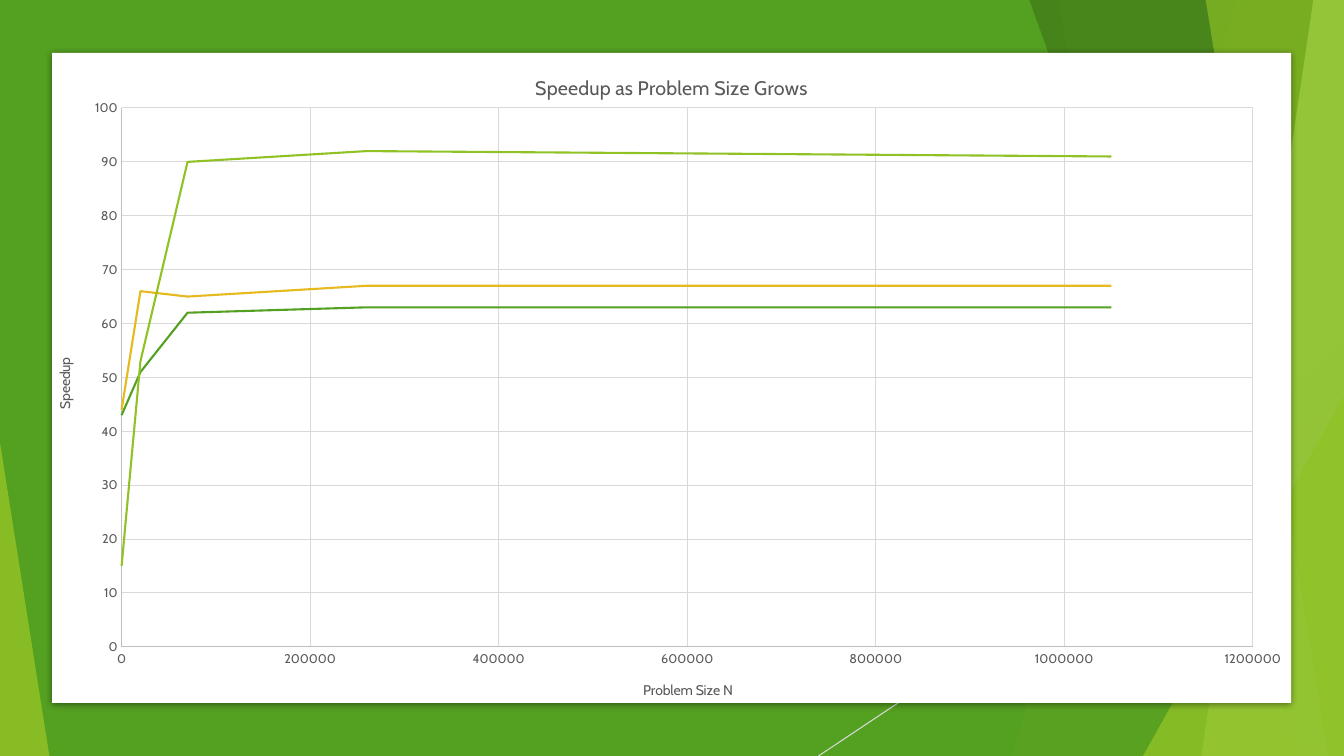
from lxml import etree
from pptx import Presentation
from pptx.chart.data import XyChartData
from pptx.dml.color import RGBColor
from pptx.enum.chart import XL_CHART_TYPE, XL_MARKER_STYLE, XL_TICK_MARK
from pptx.enum.shapes import MSO_CONNECTOR, MSO_SHAPE
from pptx.oxml import parse_xml
from pptx.oxml.ns import qn
from pptx.util import Pt

SCATTER_LINES = XL_CHART_TYPE.XY_SCATTER_LINES_NO_MARKERS
NO_MARKER = XL_MARKER_STYLE.NONE
NO_TICK = XL_TICK_MARK.NONE
RECTANGLE, TRIANGLE = MSO_SHAPE.RECTANGLE, MSO_SHAPE.ISOSCELES_TRIANGLE
STRAIGHT = MSO_CONNECTOR.STRAIGHT

# Content
FONT = "Cabin"
GREEN, LIME, DARK_GREEN, PALE_LIME, GOLD = "54A021", "90C226", "3F7819", "C0E474", "E6B91E"
TEXT_GREY, AXIS_GREY, GRID_GREY = "595959", "BFBFBF", "D9D9D9"

CHART_TITLE = "Speedup as Problem Size Grows"
PROBLEM_SIZES = [0, 20000, 70000, 260000, 1050000]
SPEEDUPS = [
    ("Series 1", LIME, [15, 53, 90, 92, 91]),
    ("Series 2", GREEN, [43, 51, 62, 63, 63]),
    ("Series 3", GOLD, [44, 66, 65, 67, 67]),
]
PLOT_AREA = {"x": 0.056, "y": 0.085, "w": 0.913, "h": 0.829}

# Decoration, back to front: bands are (top x, bottom x, colour, opacity) and
# reach the right edge; wedges are (left, top, width, peak, colour, opacity)
# and stand on the bottom edge
SLIDE_W, SLIDE_H = 960, 540
BAND_TOP = -0.6
FACETS = [
    ("band", 884.2, 722.9, LIME, 30),
    ("band", 756, 851.8, LIME, 20),
    ("wedge", 703.4, 239.8, 256.6, 1, GREEN, 72),
    ("band", 735.1, 929.5, DARK_GREEN, 70),
    ("band", 938.2, 858.2, PALE_LIME, 70),
    ("band", 861.1, 949, LIME, 65),
    ("wedge", 816.5, 283, 143.5, 1, LIME, 80),
    ("wedge", 0, 316.1, 35.3, 0, LIME, 85),
]
RAY = (960, 290.2, 584.6, 540)
CARD = (37.3, 37.7, 885, 464.4)


def rgb(value):
    return RGBColor.from_string(value)


def paint(shape, color, opacity=100):
    shape.shadow.inherit = False
    shape.line.fill.background()
    shape.fill.solid()
    shape.fill.fore_color.rgb = rgb(color)
    if opacity < 100:
        swatch = shape.fill._xPr.find(qn("a:solidFill"))[0]
        etree.SubElement(swatch, qn("a:alpha")).set("val", str(opacity * 1000))


def stroke(line, color, width):
    line.color.rgb = rgb(color)
    line.width = Pt(width)


def style_font(font, size):
    font.name, font.size, font.bold = FONT, Pt(size), False
    font.color.rgb = rgb(TEXT_GREY)


def add_title(owner, text, size):
    run = owner.text_frame.paragraphs[0].add_run()
    run.text = text
    style_font(run.font, size)


prs = Presentation()
prs.slide_width, prs.slide_height = Pt(SLIDE_W), Pt(SLIDE_H)
slide = prs.slides.add_slide(prs.slide_layouts[6])
shapes = slide.shapes

# Green backdrop and thin ray
backdrop = shapes.add_shape(RECTANGLE, 0, 0, Pt(SLIDE_W), Pt(SLIDE_H))
paint(backdrop, GREEN)
ray = shapes.add_connector(STRAIGHT, *map(Pt, RAY))
stroke(ray.line, GRID_GREY, 0.75)
etree.SubElement(ray._element.spPr, qn("a:effectLst"))

# Translucent facets
for kind, *place, color, opacity in FACETS:
    if kind == "band":
        top_x, bottom_x = place
        outline = shapes.build_freeform(Pt(top_x), Pt(BAND_TOP))
        corners = [(SLIDE_W, BAND_TOP), (SLIDE_W, SLIDE_H), (bottom_x, SLIDE_H)]
        outline.add_line_segments([(Pt(x), Pt(y)) for x, y in corners], close=True)
        facet = outline.convert_to_shape()
    else:
        left, top, width, peak = place
        facet = shapes.add_shape(TRIANGLE, Pt(left), Pt(top), Pt(width), Pt(SLIDE_H - top))
        facet.adjustments[0] = peak
    paint(facet, color, opacity)

# White card with a soft shadow
card = shapes.add_shape(RECTANGLE, *map(Pt, CARD))
paint(card, "FFFFFF")
effects = card._element.spPr.find(qn("a:effectLst"))
effects.append(parse_xml(
    '<a:outerShdw xmlns:a="http://schemas.openxmlformats.org/drawingml/2006/main"'
    f' blurRad="{Pt(5)}" dist="{Pt(1.4)}" dir="5400000" rotWithShape="0">'
    '<a:srgbClr val="000000"><a:alpha val="43000"/></a:srgbClr></a:outerShdw>'))

# Speedup chart
speedup_data = XyChartData()
for name, _, speedups in SPEEDUPS:
    points = speedup_data.add_series(name)
    for size, speedup in zip(PROBLEM_SIZES, speedups):
        points.add_data_point(size, speedup)
chart = shapes.add_chart(SCATTER_LINES, *map(Pt, CARD), speedup_data).chart
style_font(chart.font, 9)
chart.has_legend = False
chart.has_title = True
add_title(chart.chart_title, CHART_TITLE, 14)
chart.chart_title.include_in_layout = False
chart.plots[0].vary_by_categories = False

for series, (_, color, _) in zip(chart.plots[0].series, SPEEDUPS):
    series.smooth = False
    series.marker.style = NO_MARKER
    stroke(series.format.line, color, 1.5)

for axis, title, maximum, step in [
    (chart.category_axis, "Problem Size N", 1200000, 200000),
    (chart.value_axis, "Speedup", 100, 10),
]:
    axis.minimum_scale, axis.maximum_scale, axis.major_unit = 0, maximum, step
    axis.major_tick_mark = axis.minor_tick_mark = NO_TICK
    axis.has_major_gridlines = True
    stroke(axis.major_gridlines.format.line, GRID_GREY, 0.75)
    stroke(axis.format.line, AXIS_GREY, 0.75)
    style_font(axis.tick_labels.font, 9)
    axis.tick_labels.number_format = "General"
    axis.tick_labels.number_format_is_linked = False
    add_title(axis.axis_title, title, 10)

# Fixed inner plot area
plot_area = chart._chartSpace.chart.plotArea
layout = plot_area.find(qn("c:layout"))
if layout is None:
    layout = etree.Element(qn("c:layout"))
    plot_area.insert(0, layout)
manual = etree.SubElement(layout, qn("c:manualLayout"))
settings = {"layoutTarget": "inner", "xMode": "edge", "yMode": "edge", **PLOT_AREA}
for tag, value in settings.items():
    etree.SubElement(manual, qn(f"c:{tag}")).set("val", str(value))

prs.save("out.pptx")
